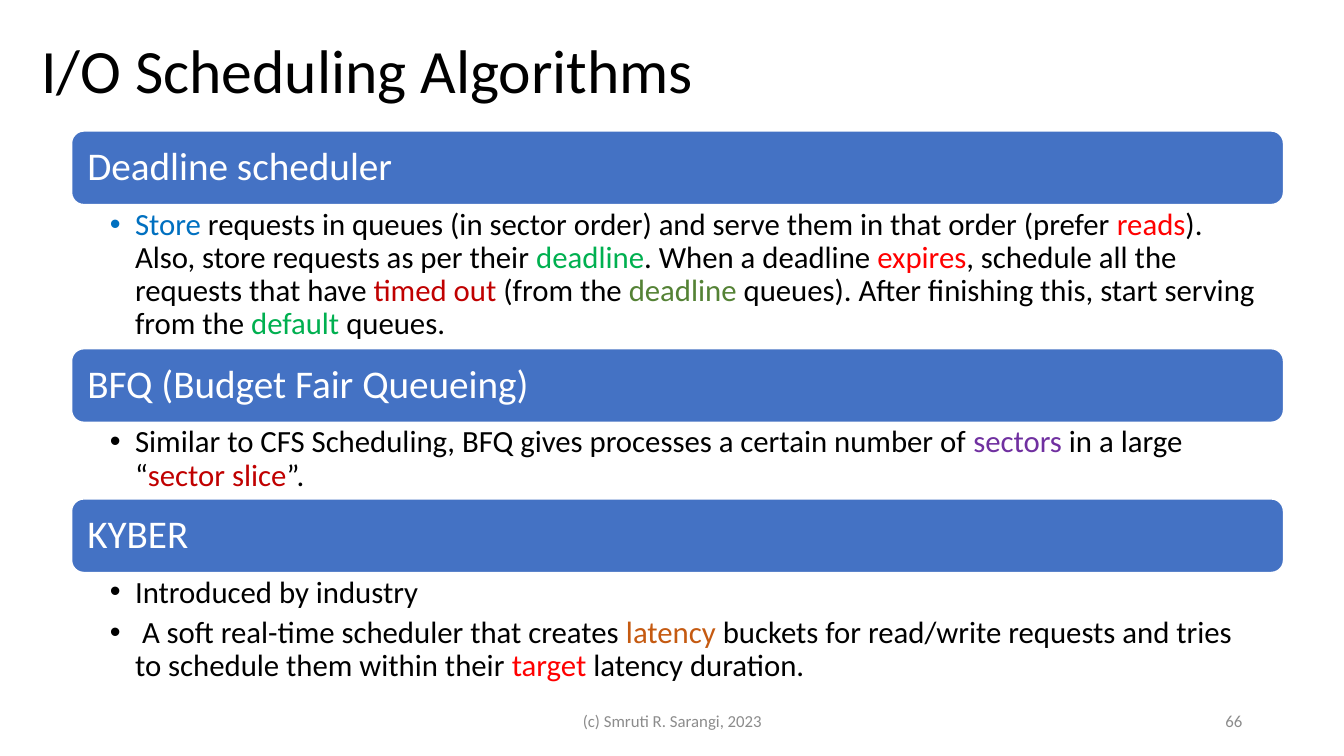
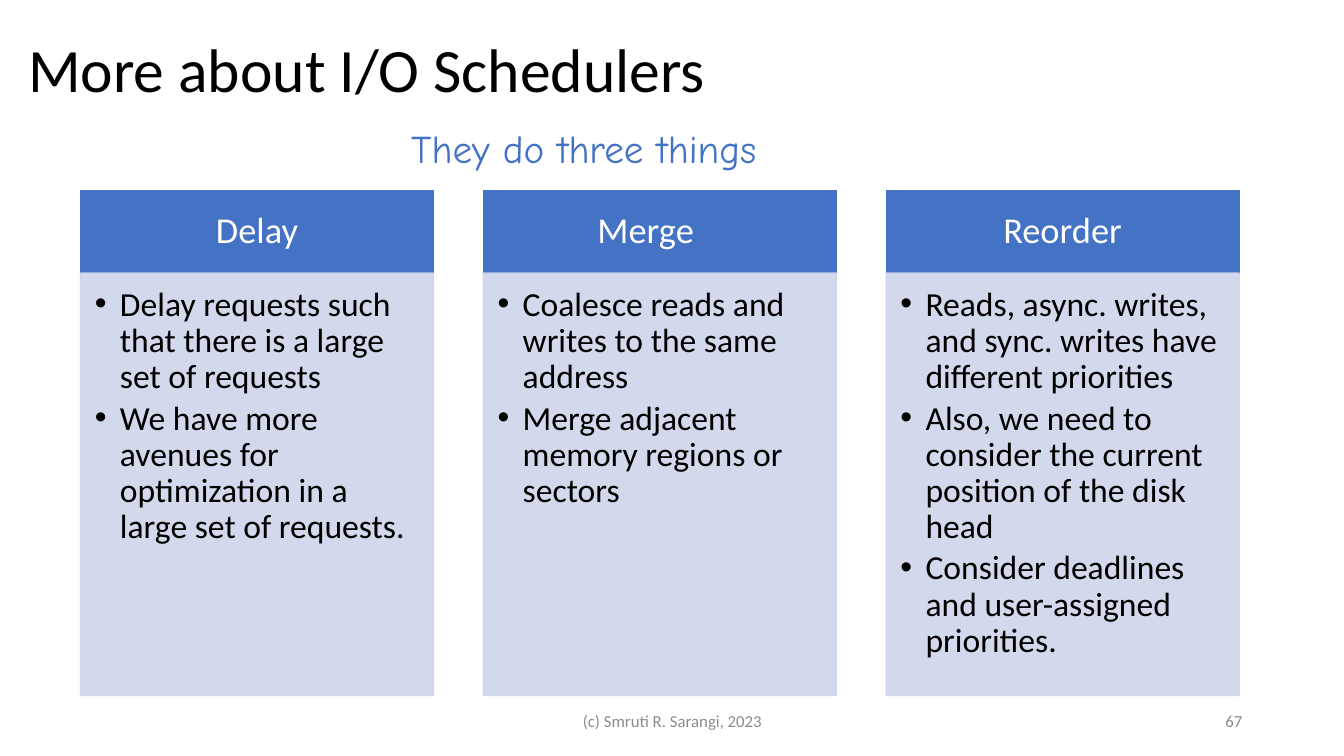
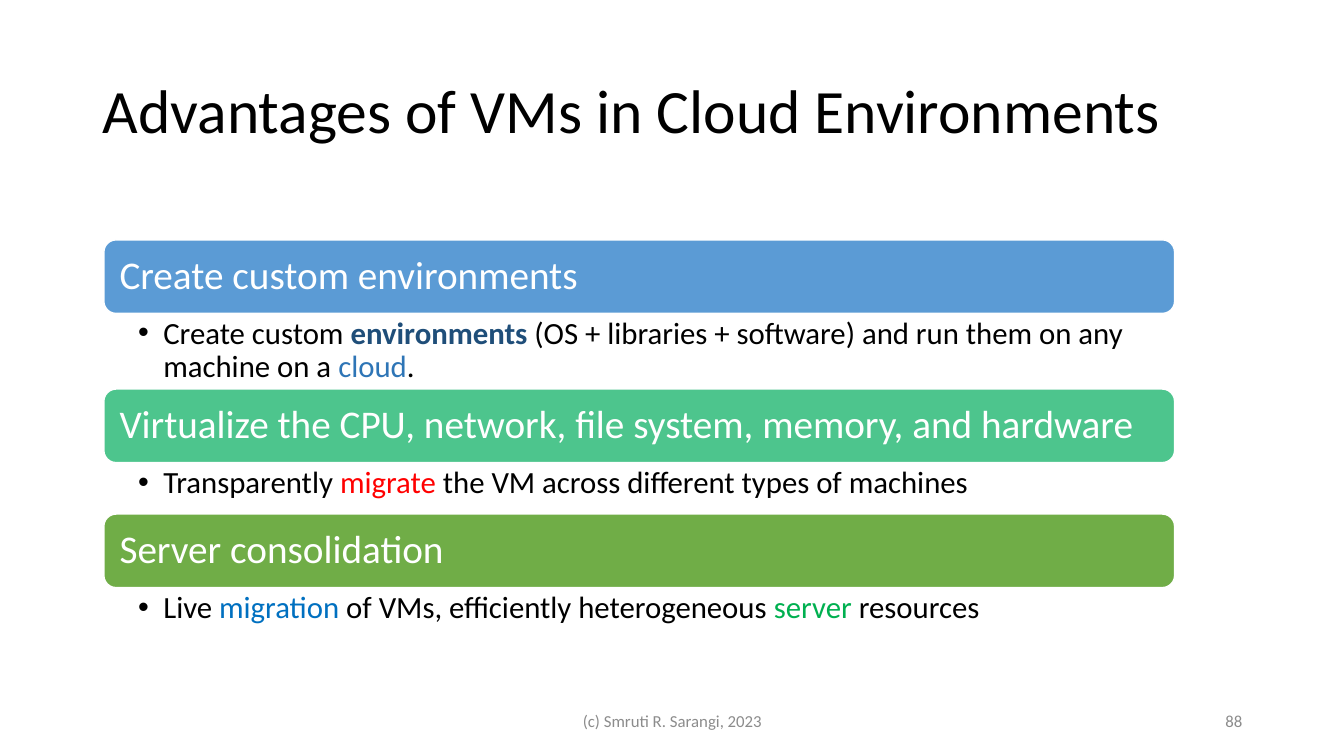
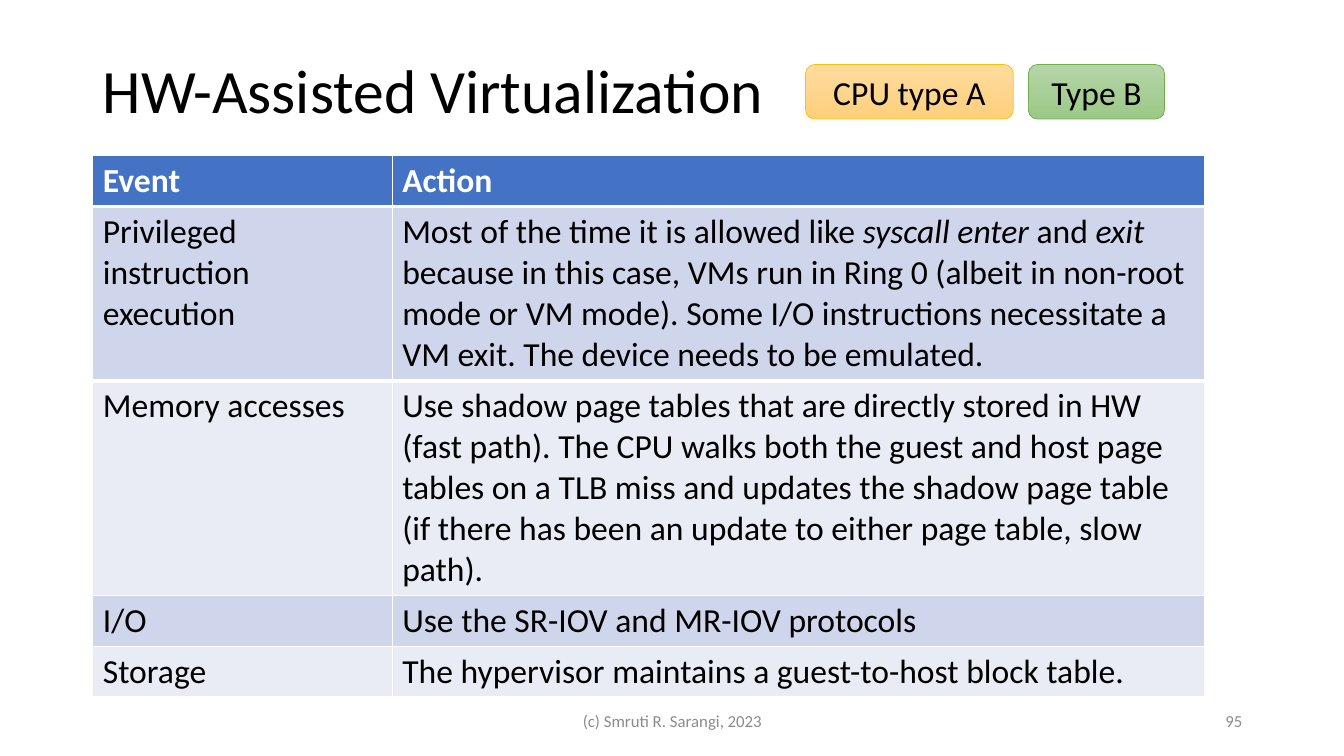
from lxml import etree
from pptx import Presentation
from pptx.dml.color import RGBColor
from pptx.enum.shapes import MSO_SHAPE
from pptx.enum.text import MSO_ANCHOR, PP_ALIGN
from pptx.oxml.ns import qn
from pptx.util import Inches, Pt

RECT, ROUND = MSO_SHAPE.RECTANGLE, MSO_SHAPE.ROUNDED_RECTANGLE
TOP, MIDDLE = MSO_ANCHOR.TOP, MSO_ANCHOR.MIDDLE
LEFT, CENTER, RIGHT = PP_ALIGN.LEFT, PP_ALIGN.CENTER, PP_ALIGN.RIGHT

FONT, HAND_FONT = "Calibri", "Comic Neue"
FOOTER = "(c) Smruti R. Sarangi, 2023"
DEFAULT_INSETS = (0.1, 0.05, 0.1, 0.05)
BAND_H = 0.73

COLORS = {
    "black": "000000", "white": "FFFFFF", "gray": "8C8C8C",
    "accent": "4472C4", "sky": "5B9BD5", "mint": "4DC58D", "grass": "70AD47",
    "pale": "CFD5EA", "paler": "E9EBF5",
    "blue": "0070C0", "red": "FF0000", "green": "00B050", "crimson": "C00000",
    "olive": "548235", "purple": "7030A0", "rust": "C55A11",
    "navy": "1F4E79", "steel": "2E75B6",
    "gold": "FFC000", "gold_top": "FFDB9E", "gold_end": "FFD07C",
    "leaf_top": "B5D5A7", "leaf_end": "9CC987",
}


def rgb(name):
    return RGBColor.from_string(COLORS[name])


# ---- Text and shapes ----
def add_runs(p, runs, size, color="black", font=FONT, bold=False):
    """A run is a string, or (text, colour or None, optional "b" or "i")."""
    for run in runs:
        text, run_color, *marks = (run, None) if isinstance(run, str) else run
        r = p.add_run()
        r.text = text
        r.font.name, r.font.size = font, Pt(size)
        r.font.color.rgb = rgb(run_color or color)
        r.font.bold = bold or "b" in marks
        r.font.italic = "i" in marks


def setup_frame(tf, insets=DEFAULT_INSETS, anchor=TOP):
    tf.word_wrap = True
    tf.vertical_anchor = anchor
    (tf.margin_left, tf.margin_top,
     tf.margin_right, tf.margin_bottom) = map(Inches, insets)


def fill_line(p, runs, size, align=LEFT, spacing=None, **style):
    p.alignment = align
    if spacing:
        p.line_spacing = spacing
    add_runs(p, runs, size, **style)


def add_label(s, box, text, size, anchor=TOP, **style):
    tf = s.shapes.add_textbox(*map(Inches, box)).text_frame
    setup_frame(tf, anchor=anchor)
    fill_line(tf.paragraphs[0], [text], size, **style)


def add_block(s, kind, box, line, line_width=1, fill=None):
    sp = s.shapes.add_shape(kind, *map(Inches, box))
    sp.shadow.inherit = False
    if fill:
        sp.fill.solid()
        sp.fill.fore_color.rgb = rgb(fill)
    sp.line.color.rgb = rgb(line)
    sp.line.width = Pt(line_width)
    return sp


def set_opacity(sp, percent):
    for clr in sp._element.spPr.iter(qn("a:srgbClr")):
        etree.SubElement(clr, qn("a:alpha"), val=str(percent * 1000))


def set_cell_border(cell, side, color, width):
    ln = etree.Element(qn("a:" + side), w=str(Pt(width)))
    solid = etree.SubElement(ln, qn("a:solidFill"))
    etree.SubElement(solid, qn("a:srgbClr"), val=COLORS[color])
    cell._tc.get_or_add_tcPr().insert(0, ln)


def add_bullets(tf, items, size, space_after):
    for i, runs in enumerate(items):
        p = tf.paragraphs[0] if i == 0 else tf.add_paragraph()
        p.space_after = Pt(space_after)
        fill_line(p, runs, size, spacing=0.9)
        pPr = p._p.get_or_add_pPr()
        pPr.set("marL", str(Inches(0.25)))
        pPr.set("indent", str(Inches(-0.25)))
        etree.SubElement(pPr, qn("a:buFont"), typeface="Arial")
        etree.SubElement(pPr, qn("a:buChar"), char="•")


# ---- Regions ----
def new_slide(prs, title, left, top, number):
    s = prs.slides.add_slide(prs.slide_layouts[6])
    add_label(s, (left, top, 11.5, 1.45), title, 44, MIDDLE, spacing=0.9)
    add_label(s, (4.42, 6.95, 4.5, 0.4), FOOTER, 12, MIDDLE,
              align=CENTER, color="gray")
    add_label(s, (9.42, 6.95, 3, 0.4), str(number), 12, MIDDLE,
              align=RIGHT, color="gray")
    return s


def add_band_list(s, left, top, width, indent, sections):
    """Stack of heading bands, each followed by its bullets."""
    for heading, fill, height, items in sections:
        band = add_block(s, ROUND, (left, top, width, BAND_H), "white", fill=fill)
        setup_frame(band.text_frame, (0.12,) * 4, MIDDLE)
        fill_line(band.text_frame.paragraphs[0], [heading], 28,
                  spacing=0.9, color="white")
        top += BAND_H
        body = s.shapes.add_textbox(*map(Inches, (left, top, width, height)))
        setup_frame(body.text_frame, (indent, 0.04, 0.22, 0.04))
        add_bullets(body.text_frame, items, 22, 5)
        top += height


def add_column(s, left, top, width, height, heading, right_inset, items):
    head_h = 0.82
    head = add_block(s, RECT, (left, top, width, head_h), "accent", fill="accent")
    setup_frame(head.text_frame, (0.2, 0.12, right_inset, 0.12), MIDDLE)
    fill_line(head.text_frame.paragraphs[0], [heading], 26, CENTER, 0.9,
              color="white")
    body = add_block(s, RECT, (left, top + head_h, width, height - head_h),
                     "pale", fill="pale")
    set_opacity(body, 90)
    setup_frame(body.text_frame, (0.14, 0.14, 0.19, 0.21))
    add_bullets(body.text_frame, [[item] for item in items], 24, 3.5)


def add_badge(s, box, text, line, start, end):
    sp = add_block(s, ROUND, box, line, 0.5)
    sp.fill.gradient()
    sp.fill.gradient_angle = 270
    for stop, color in zip(sp.fill.gradient_stops, (start, end)):
        stop.color.rgb = rgb(color)
    setup_frame(sp.text_frame, anchor=MIDDLE)
    fill_line(sp.text_frame.paragraphs[0], [text], 24, CENTER)


def add_event_table(s, left, top, col_widths, row_heights, rows):
    box = (left, top, sum(col_widths), sum(row_heights))
    table = s.shapes.add_table(len(rows), len(col_widths),
                               *map(Inches, box)).table
    for col, width in zip(table.columns, col_widths):
        col.width = Inches(width)
    for i, (row, height) in enumerate(zip(rows, row_heights)):
        table.rows[i].height = Inches(height)
        fill = "accent" if i == 0 else ("paler", "pale")[i % 2]
        for j, runs in enumerate(row):
            cell = table.cell(i, j)
            cell.fill.solid()
            cell.fill.fore_color.rgb = rgb(fill)
            # Thick rule under the header row
            if i < 2:
                set_cell_border(cell, ("lnB", "lnT")[i], "white", 3)
            add_runs(cell.text_frame.paragraphs[0], runs, 24,
                     "black" if i else "white", bold=i == 0)


# ---- Slides ----
def algorithms_slide(prs):
    s = new_slide(prs, "I/O Scheduling Algorithms", 0.31, 0, 66)
    add_band_list(s, 0.71, 1.3, 12.02, 0.38, [
        ("Deadline scheduler", "accent", 1.43, [[
            ("Store", "blue"),
            " requests in queues (in sector order) and serve them in that order (prefer ",
            ("reads", "red"), "). Also, store requests as per their ",
            ("deadline", "green"), ". When a deadline ", ("expires", "red"),
            ", schedule all the requests that have ", ("timed out ", "crimson"),
            "(from the ", ("deadline", "olive"),
            " queues). After finishing this, start serving from the ",
            ("default", "green"), " queues."]]),
        ("BFQ (Budget Fair Queueing)", "accent", 0.76, [[
            "Similar to CFS Scheduling, BFQ gives processes a certain number of ",
            ("sectors", "purple"), " in a large “",
            ("sector slice", "crimson"), "”."]]),
        ("KYBER", "accent", 1.17, [
            ["Introduced by industry"],
            [" A soft real-time scheduler that creates ", ("latency", "rust"),
             " buckets for read/write requests and tries to schedule them within their ",
             ("target", "red"), " latency duration."]]),
    ])


def schedulers_slide(prs):
    s = new_slide(prs, "More about I/O Schedulers", 0.18, -0.01, 67)
    add_label(s, (3.98, 1.18, 7.38, 0.57), "They do three things", 28,
              color="accent", font=HAND_FONT)
    columns = [
        ("Delay", 0.2,
         ["Delay requests such that there is a large set of requests",
          "We have more avenues for optimization in a large set of requests."]),
        ("Merge", 0.48,
         ["Coalesce reads and writes to the same address",
          "Merge adjacent memory regions or sectors"]),
        ("Reorder", 0.2,
         ["Reads, async. writes, and sync. writes have different priorities",
          "Also, we need to consider the current position of the disk head",
          "Consider deadlines and user-assigned priorities."]),
    ]
    left, width, total = 0.8, 3.5, 11.49
    step = (total - width) / (len(columns) - 1)
    for i, column in enumerate(columns):
        add_column(s, left + i * step, 1.89, width, 5.01, *column)


def advantages_slide(prs):
    s = new_slide(prs, "Advantages of VMs in Cloud Environments", 0.92, 0.4, 88)
    add_band_list(s, 1.03, 2.38, 10.62, 0.34, [
        ("Create custom environments", "sky", 0.75, [[
            "Create custom ", ("environments", "navy", "b"),
            " (OS + libraries + software) and run them on any machine on a ",
            ("cloud", "steel"), "."]]),
        ("Virtualize the CPU, network, file system, memory, and hardware",
         "mint", 0.51, [[
             "Transparently ", ("migrate", "red"),
             " the VM across different types of machines"]]),
        ("Server consolidation", "grass", 0.51, [[
            "Live ", ("migration", "blue"),
            " of VMs, efficiently heterogeneous ", ("server", "green"),
            " resources"]]),
    ])


def virtualization_slide(prs):
    s = new_slide(prs, "HW-Assisted Virtualization", 0.92, 0.2, 95)
    add_event_table(s, 0.92, 1.54, (2.97, 8.06), (0.51, 1.73, 2.13, 0.5, 0.5), [
        (["Event"], ["Action"]),
        (["Privileged instruction execution"],
         ["Most of the time it is allowed like ", ("syscall enter ", None, "i"),
          "and ", ("exit", None, "i"),
          " because in this case, VMs run in Ring 0 (albeit in non-root mode or "
          "VM mode). Some I/O instructions necessitate a VM exit. The device "
          "needs to be emulated."]),
        (["Memory accesses"],
         ["Use shadow page tables that are directly stored in HW (fast path). "
          "The CPU walks both the guest and host page tables on a TLB miss and "
          "updates the shadow page table (if there has been an update to either "
          "page table, slow path)."]),
        (["I/O"], ["Use the SR-IOV and MR-IOV protocols"]),
        (["Storage"], ["The hypervisor maintains a guest-to-host block table."]),
    ])
    add_badge(s, (7.99, 0.64, 2.06, 0.54), "CPU type A",
              "gold", "gold_top", "gold_end")
    add_badge(s, (10.2, 0.64, 1.35, 0.54), "Type B",
              "grass", "leaf_top", "leaf_end")


def main():
    prs = Presentation()
    prs.slide_width, prs.slide_height = Inches(13.33), Inches(7.5)
    for build in (algorithms_slide, schedulers_slide,
                  advantages_slide, virtualization_slide):
        build(prs)
    prs.save("out.pptx")


if __name__ == "__main__":
    main()
